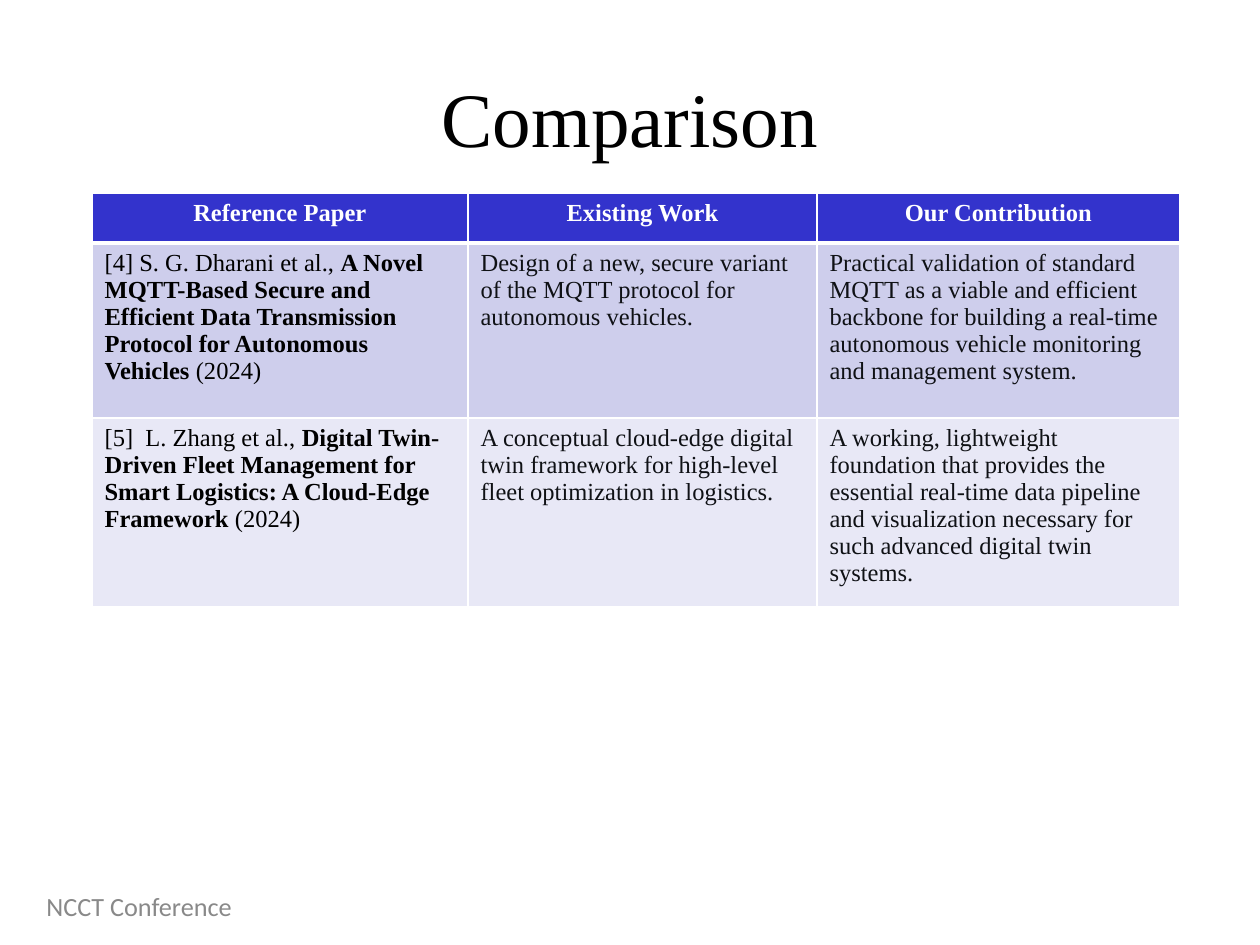
from lxml.etree import SubElement
from pptx import Presentation
from pptx.dml.color import RGBColor
from pptx.enum.text import MSO_ANCHOR, PP_ALIGN
from pptx.oxml.ns import qn
from pptx.util import Emu, Pt

SERIF = "Times New Roman"
COLUMNS = [376, 349, 363]
ROWS = [50, 175, 175]
FILLS = ["3333CC", "CECEEC", "E8E8F6"]
HEADINGS = ["Reference Paper", "Existing Work", "Our Contribution"]
PAPERS = [
    (
        ["[4] S. G. Dharani et al., ",
         "A Novel MQTT-Based Secure and Efficient Data Transmission "
         "Protocol for Autonomous Vehicles ",
         "(2024)"],
        "Design of a new, secure variant of the MQTT protocol for "
        "autonomous vehicles.",
        "Practical validation of standard MQTT as a viable and efficient "
        "backbone for building a real-time autonomous vehicle monitoring "
        "and management system.",
    ),
    (
        ["[5]  L. Zhang et al., ",
         "Digital Twin-Driven Fleet Management for Smart Logistics: "
         "A Cloud-Edge Framework ",
         "(2024)"],
        "A conceptual cloud-edge digital twin framework for high-level "
        "fleet optimization in logistics.",
        "A working, lightweight foundation that provides the essential "
        "real-time data pipeline and visualization necessary for such "
        "advanced digital twin systems.",
    ),
]


def px(n):
    return Emu(round(n * 914400 / 126))


def box(*lengths):
    return [px(n) for n in lengths]


def rgb(value):
    return RGBColor.from_string(value)


def style(r, size, color, font=SERIF, bold=False):
    r.font.size = Pt(size)
    r.font.name = font
    r.font.bold = bold
    r.font.color.rgb = rgb(color)


def add_title(s, text):
    sp = s.shapes.title
    sp.left, sp.top, sp.width, sp.height = box(63, 38, 1134, 157)
    tf = sp.text_frame
    tf.text = text
    tf.vertical_anchor = MSO_ANCHOR.MIDDLE
    p = tf.paragraphs[0]
    p.alignment = PP_ALIGN.CENTER
    style(p.runs[0], 44, "000000")


def add_footer(s, text):
    tf = s.shapes.add_textbox(*box(34, 890, 912, 40)).text_frame
    tf.word_wrap = True
    tf.text = text
    p = tf.paragraphs[0]
    p.line_spacing = 0.8
    style(p.runs[0], 15, "898989", "Calibri")


def set_borders(cell, bottom):
    tcPr = cell._tc.get_or_add_tcPr()
    for side, width in zip("LRTB", (1, 1, 1, bottom)):
        ln = SubElement(tcPr, qn(f"a:ln{side}"), w=str(Pt(width)))
        fill = SubElement(ln, qn("a:solidFill"))
        SubElement(fill, qn("a:srgbClr"), val="FFFFFF")


def fill_cell(cell, content, fill, header):
    set_borders(cell, 3 if header else 1)
    cell.fill.solid()
    cell.fill.fore_color.rgb = rgb(fill)
    p = cell.text_frame.paragraphs[0]
    if header:
        p.alignment = PP_ALIGN.CENTER
    citation = isinstance(content, list)
    color = "FFFFFF" if header else "000000" if citation else "0F1115"
    for i, text in enumerate(content if citation else [content]):
        r = p.add_run()
        r.text = text
        style(r, 14, color, bold=header or i == 1)


def add_comparison(s):
    frame = s.shapes.add_table(
        len(ROWS), len(COLUMNS), *box(92, 193, sum(COLUMNS), sum(ROWS))
    )
    table = frame.table
    for column, width in zip(table.columns, COLUMNS):
        column.width = px(width)
    for i, values in enumerate([HEADINGS, *PAPERS]):
        table.rows[i].height = px(ROWS[i])
        for j, content in enumerate(values):
            fill_cell(table.cell(i, j), content, FILLS[i], i == 0)


def main():
    prs = Presentation()
    prs.slide_width, prs.slide_height = box(1260, 945)
    s = prs.slides.add_slide(prs.slide_layouts[5])
    add_title(s, "Comparison")
    add_footer(s, "NCCT Conference")
    add_comparison(s)
    prs.save("out.pptx")


if __name__ == "__main__":
    main()
